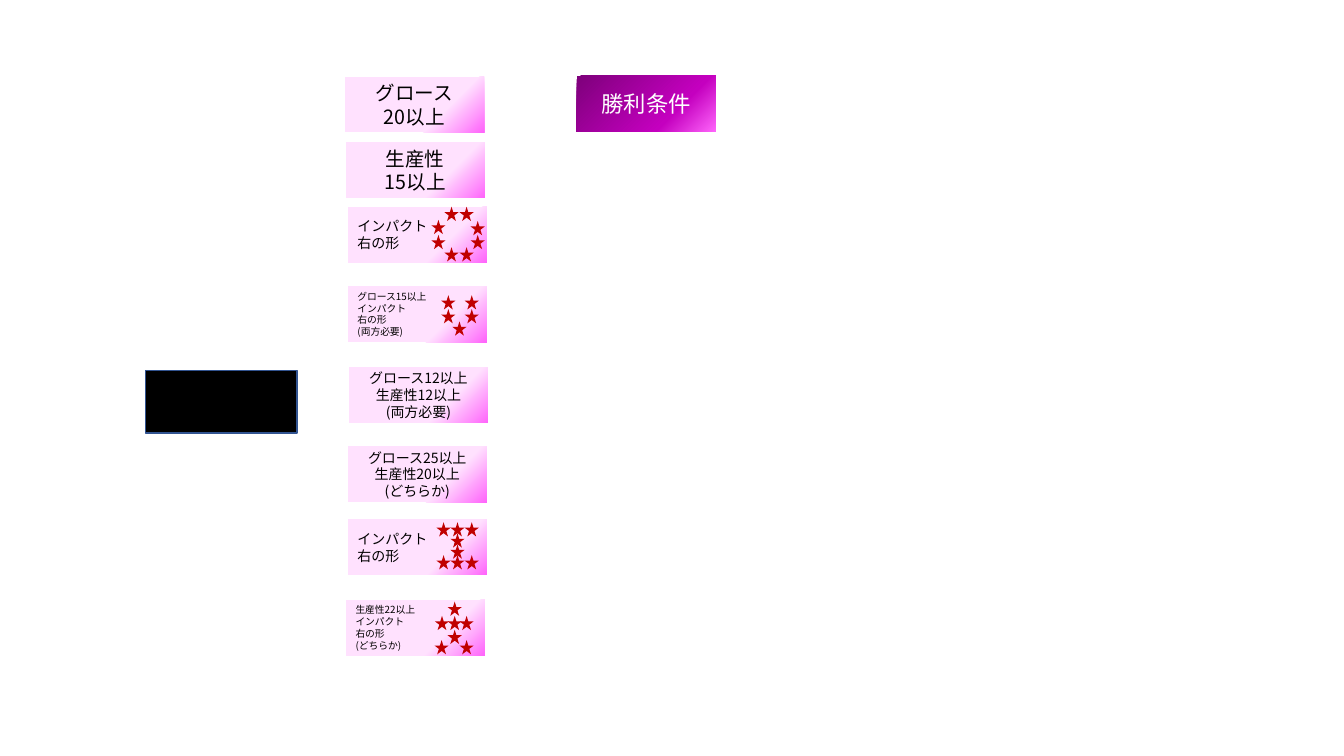
from copy import deepcopy

from lxml import etree
from pptx import Presentation
from pptx.dml.color import RGBColor
from pptx.enum.shapes import MSO_SHAPE
from pptx.enum.text import MSO_ANCHOR, PP_ALIGN
from pptx.oxml.ns import qn
from pptx.util import Cm, Pt

RECTANGLE = MSO_SHAPE.RECTANGLE
STAR = MSO_SHAPE.STAR_5_POINT
LEFT, CENTER = PP_ALIGN.LEFT, PP_ALIGN.CENTER
MIDDLE = MSO_ANCHOR.MIDDLE

PINK = ("FFE1FE", "FFE1FE", "FF65FB")
PURPLE = ("7E007B", "C400BF", "FF65FB")

RING = [(2.11, 0.33), (2.11, 0.71), (2.44, 0), (2.82, 0),
        (3.1, 0.36), (3.1, 0.71), (2.44, 1.02), (2.82, 1.02)]
CUP = [(2.36, 0.23), (2.95, 0.23), (2.95, 0.58), (2.36, 0.58), (2.64, 0.89)]
BEAM = [(x, y) for y in (0.08, 0.91) for x in (2.24, 2.59, 2.95)]
BEAM += [(2.59, 0.36), (2.59, 0.64)]
FIGURE = [(2.57, 0.05), (2.25, 0.41), (2.57, 0.41), (2.87, 0.41),
          (2.57, 0.76), (2.24, 1.02), (2.87, 1.02)]

CONDITIONS = [
    (8.69, 1.93, 14, CENTER, ["グロース", "20以上"], []),
    (8.71, 3.58, 14, CENTER, ["生産性", "15以上"], []),
    (8.76, 5.21, 10, LEFT, ["インパクト", "右の形"], RING),
    (8.76, 7.21, 7, LEFT, ["グロース15以上", "インパクト", "右の形", "(両方必要)"], CUP),
    (8.79, 9.25, 10, CENTER, ["グロース12以上", "生産性12以上", "(両方必要)"], []),
    (8.76, 11.25, 10, CENTER, ["グロース25以上", "生産性20以上", "(どちらか)"], []),
    (8.76, 13.08, 10, LEFT, ["インパクト", "右の形"], BEAM),
    (8.71, 15.11, 7, LEFT, ["生産性22以上", "インパクト", "右の形", "(どちらか)"], FIGURE),
]


def color(value):
    return RGBColor.from_string(value)


class CardSheet:
    """Draws victory-condition cards on one slide in a shared style."""

    font_name = "Noto Sans CJK JP"
    card_width, card_height = 3.51, 1.41
    star_size = 0.36
    stops = (0, 0.69, 1)

    def __init__(self, slide):
        self.slide = slide

    def shape(self, kind, x, y, width, height):
        shape = self.slide.shapes.add_shape(kind, Cm(x), Cm(y), Cm(width), Cm(height))
        shape.shadow.inherit = False
        shape.line.fill.background()
        return shape

    def block(self, x, y, width, height, fill, line):
        block = self.shape(RECTANGLE, x, y, width, height)
        block.fill.solid()
        block.fill.fore_color.rgb = color(fill)
        block.line.color.rgb = color(line)
        block.line.width = Pt(1)

    def gradient(self, shape, colors):
        shape.fill.gradient()
        shape.fill.gradient_angle = 315
        stop_list = shape._element.spPr.find(".//" + qn("a:gsLst"))
        stop_list.append(deepcopy(stop_list[-1]))
        for stop, position, value in zip(shape.fill.gradient_stops, self.stops, colors):
            stop.position = position
            stop.color.rgb = color(value)

    def card(self, x, y, size, align, lines, colors=PINK, ink="000000"):
        card = self.shape(RECTANGLE, x, y, self.card_width, self.card_height)
        self.gradient(card, colors)
        frame = card.text_frame
        frame.word_wrap = True
        frame.vertical_anchor = MIDDLE
        frame.text = "\n".join(lines)
        for paragraph in frame.paragraphs:
            paragraph.alignment = align
            font = paragraph.font
            font.size = Pt(size)
            font.color.rgb = color(ink)
            font.name = self.font_name
            defaults = paragraph._p.pPr.find(qn("a:defRPr"))
            etree.SubElement(defaults, qn("a:ea"), typeface=self.font_name)

    def stars(self, x, y, offsets):
        for dx, dy in offsets:
            star = self.shape(STAR, x + dx, y + dy, self.star_size, self.star_size)
            star.fill.solid()
            star.fill.fore_color.rgb = color("C00000")


def main():
    deck = Presentation()
    deck.slide_width, deck.slide_height = Cm(33.87), Cm(19.05)
    sheet = CardSheet(deck.slides.add_slide(deck.slide_layouts[6]))
    sheet.block(3.67, 9.33, 3.82, 1.58, "000000", "325491")
    for x, y, size, align, lines, offsets in CONDITIONS:
        sheet.card(x, y, size, align, lines)
        sheet.stars(x, y, offsets)
    sheet.card(14.53, 1.91, 16, CENTER, ["勝利条件"], PURPLE, "FFFFFF")
    deck.save("out.pptx")


if __name__ == "__main__":
    main()
